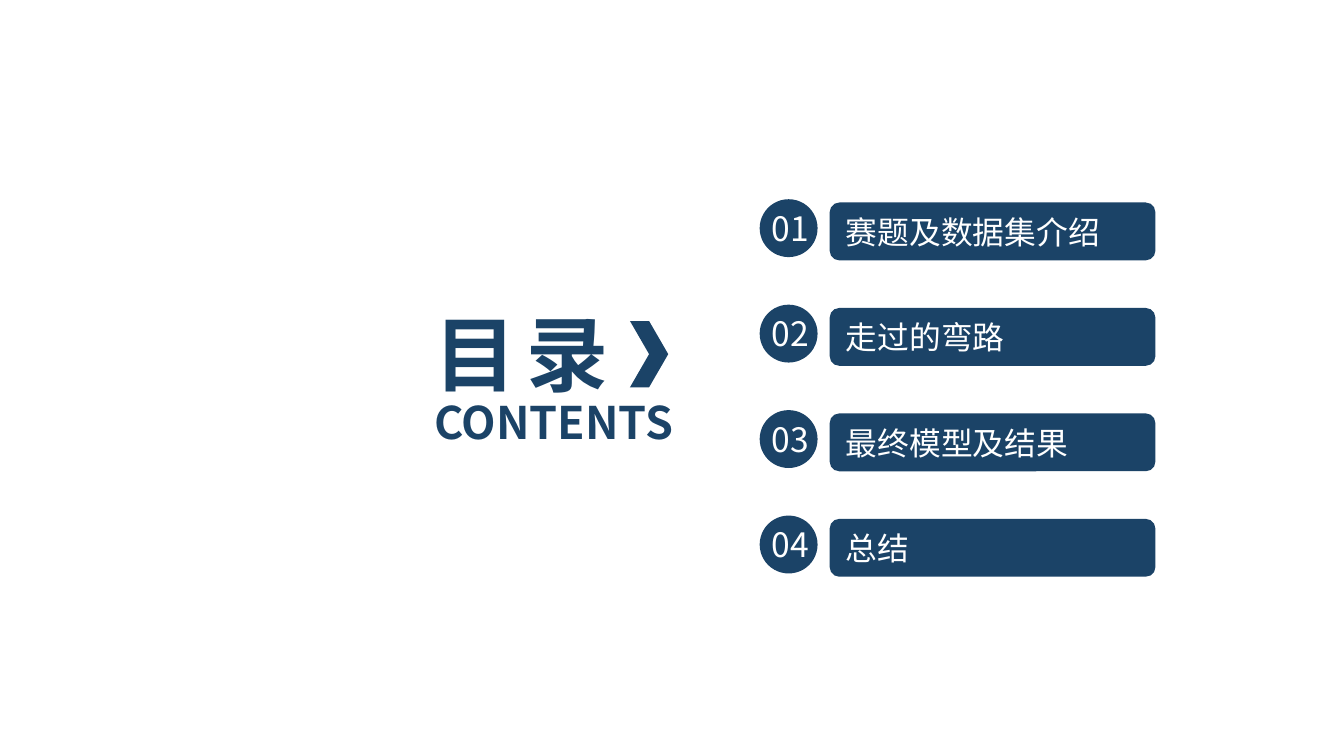
from pptx import Presentation
from pptx.dml.color import RGBColor
from pptx.enum import shapes, text
from pptx.oxml.ns import qn
from pptx.util import Pt
from lxml import etree

THEME = {
    "font": "Noto Sans CJK SC",
    "navy": RGBColor(0x1B, 0x43, 0x67),
    "white": RGBColor(0xFF, 0xFF, 0xFF),
    "item": Pt(17), "number": Pt(18), "title": Pt(44), "subtitle": Pt(24),
}
MSO = shapes.MSO_SHAPE
ALIGN = text.PP_ALIGN


def add_block(parent, kind, x, y, w, h):
    sp = parent.add_shape(kind, Pt(x), Pt(y), Pt(w), Pt(h))
    sp.shadow.inherit = False
    sp.fill.solid()
    sp.fill.fore_color.rgb = THEME["navy"]
    sp.line.fill.background()
    return sp


def write(sp, words, size, color, align=ALIGN.LEFT, bold=False):
    tf = sp.text_frame
    for name, value in {"word_wrap": True, "vertical_anchor": text.MSO_ANCHOR.MIDDLE}.items():
        setattr(tf, name, value)
    p = tf.paragraphs[0]
    p.alignment = align
    r = p.add_run()
    r.text = words
    for name, value in {"size": THEME[size], "bold": bold, "name": THEME["font"]}.items():
        setattr(r.font, name, value)
    r.font.color.rgb = THEME[color]
    rPr = r._r.get_or_add_rPr()
    etree.SubElement(rPr, qn("a:ea")).set("typeface", THEME["font"])
    return rPr


prs = Presentation()
prs.slide_width, prs.slide_height = Pt(720), Pt(405)
s = prs.slides.add_slide(prs.slide_layouts[6])

title = s.shapes.add_textbox(Pt(225.5), Pt(158.5), Pt(169), Pt(60.5))
write(title, "目 录", "title", "navy", bold=True).set("spc", "-220")
subtitle = s.shapes.add_textbox(Pt(225.5), Pt(208), Pt(166.5), Pt(36))
write(subtitle, "CONTENTS", "subtitle", "navy", bold=True)
add_block(s.shapes, MSO.CHEVRON, 337.5, 172, 20.5, 35.5)

items = ["赛题及数据集介绍", "走过的弯路", "最终模型及结果", "总结"]
for i, item in enumerate(items):
    y = 106.75 + 56.5 * i
    bar = add_block(s.shapes, MSO.ROUNDED_RECTANGLE, 444.5, y + 1.75, 174.5, 31)
    write(bar, item, "item", "white")
    badge = s.shapes.add_group_shape()
    add_block(badge.shapes, MSO.OVAL, 407, y, 31, 31)
    number = badge.shapes.add_textbox(Pt(404.75), Pt(y + 0.75), Pt(37.5), Pt(29))
    write(number, f"{i + 1:02}", "number", "white", ALIGN.CENTER)

prs.save("out.pptx")
